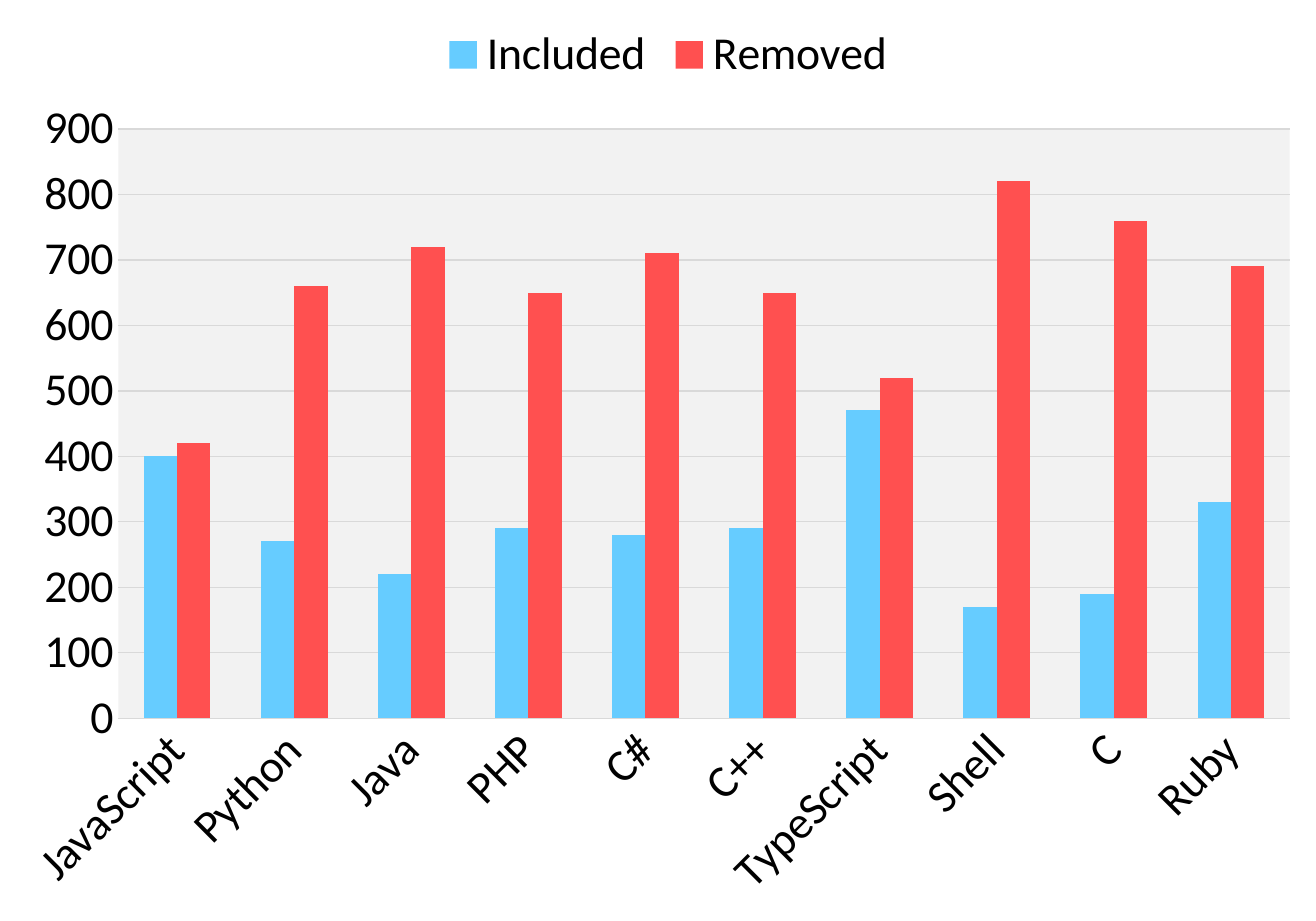
from lxml import etree
from pptx import Presentation
from pptx.chart.data import CategoryChartData
from pptx.dml.color import RGBColor
from pptx.enum.chart import XL_CHART_TYPE, XL_LEGEND_POSITION, XL_TICK_MARK
from pptx.oxml import parse_xml
from pptx.oxml.ns import nsdecls, qn
from pptx.util import Inches, Pt

COLUMNS = XL_CHART_TYPE.COLUMN_CLUSTERED
LEGEND_TOP = XL_LEGEND_POSITION.TOP
NO_TICKS = XL_TICK_MARK.NONE

COLORS = {
    "text": "000000",
    "grid": "D9D9D9",
    "plot": "F2F2F2",
    "Included": "66CCFF",
    "Removed": "FF5050",
}
LANGUAGES = ["JavaScript", "Python", "Java", "PHP", "C#", "C++",
             "TypeScript", "Shell", "C", "Ruby"]
COUNTS = {
    "Included": [400, 270, 220, 290, 280, 290, 470, 170, 190, 330],
    "Removed": [420, 660, 720, 650, 710, 650, 520, 820, 760, 690],
}


def format_text(text, size=25, color="text", name="Calibri"):
    text.font.size = Pt(size)
    text.font.name = name
    text.font.bold = False
    text.font.color.rgb = RGBColor.from_string(COLORS[color])


def manual_layout(inner=False, **fractions):
    """Return a chart layout placed by fractions of the chart size."""
    layout = etree.Element(qn("c:layout"))
    manual = etree.SubElement(layout, qn("c:manualLayout"))
    settings = {"layoutTarget": "inner"} if inner else {}
    settings.update(xMode="edge", yMode="edge", **fractions)
    for tag, value in settings.items():
        etree.SubElement(manual, qn("c:" + tag)).set("val", str(value))
    return layout


presentation = Presentation()
presentation.slide_width = Inches(10)
presentation.slide_height = Inches(7)
slide = presentation.slides.add_slide(presentation.slide_layouts[6])

# Chart with its data
chart_data = CategoryChartData()
chart_data.categories = LANGUAGES
for series_name, counts in COUNTS.items():
    chart_data.add_series(series_name, counts)
chart = slide.shapes.add_chart(
    COLUMNS, Inches(0), Inches(0), Inches(10), Inches(7), chart_data).chart
chart.has_title = False
format_text(chart, size=10)

# Columns
plot = chart.plots[0]
plot.gap_width = 150
plot.overlap = 0
plot.vary_by_categories = False
for series in plot.series:
    series.format.fill.solid()
    series.format.fill.fore_color.rgb = RGBColor.from_string(COLORS[series.name])

# Axes
category_axis, value_axis = chart.category_axis, chart.value_axis
for axis in (category_axis, value_axis):
    axis.major_tick_mark = NO_TICKS
    axis.minor_tick_mark = NO_TICKS
    format_text(axis.tick_labels)
value_axis.minimum_scale = 0
value_axis.maximum_scale = 900
value_axis.major_unit = 100
value_axis.format.line.fill.background()
for line in (category_axis.format.line, value_axis.major_gridlines.format.line):
    line.color.rgb = RGBColor.from_string(COLORS["grid"])
    line.width = Pt(0.75)

# Category labels slanted by 45 degrees
label_body = category_axis._element.find(qn("c:txPr")).find(qn("a:bodyPr"))
label_body.set("rot", str(-45 * 60000))
label_body.set("vert", "horz")

# Legend
chart.has_legend = True
legend = chart.legend
legend.position = LEGEND_TOP
legend.include_in_layout = False
format_text(legend)
for layout in legend._element.findall(qn("c:layout")):
    legend._element.remove(layout)
legend._element.find(qn("c:legendPos")).addnext(manual_layout(x=0.33, y=0.02))

# Plot area: place and background
plot_area = chart._chartSpace.chart.plotArea
for layout in plot_area.findall(qn("c:layout")):
    plot_area.remove(layout)
plot_area.insert(0, manual_layout(inner=True, x=0.09, y=0.14, w=0.89, h=0.64))
plot_area.append(parse_xml(
    f'<c:spPr {nsdecls("c", "a")}><a:solidFill>'
    f'<a:srgbClr val="{COLORS["plot"]}"/></a:solidFill></c:spPr>'))

presentation.save("out.pptx")
